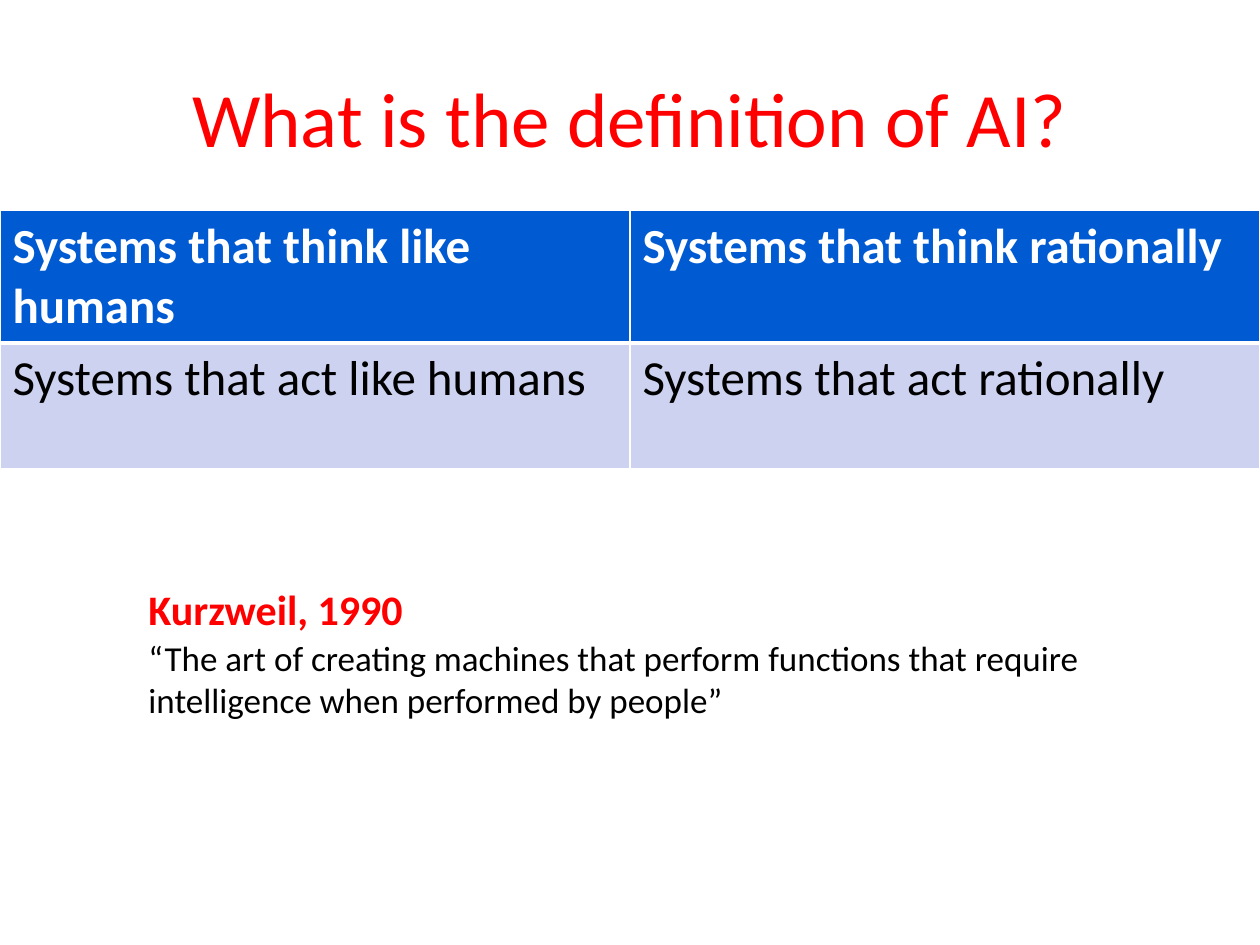
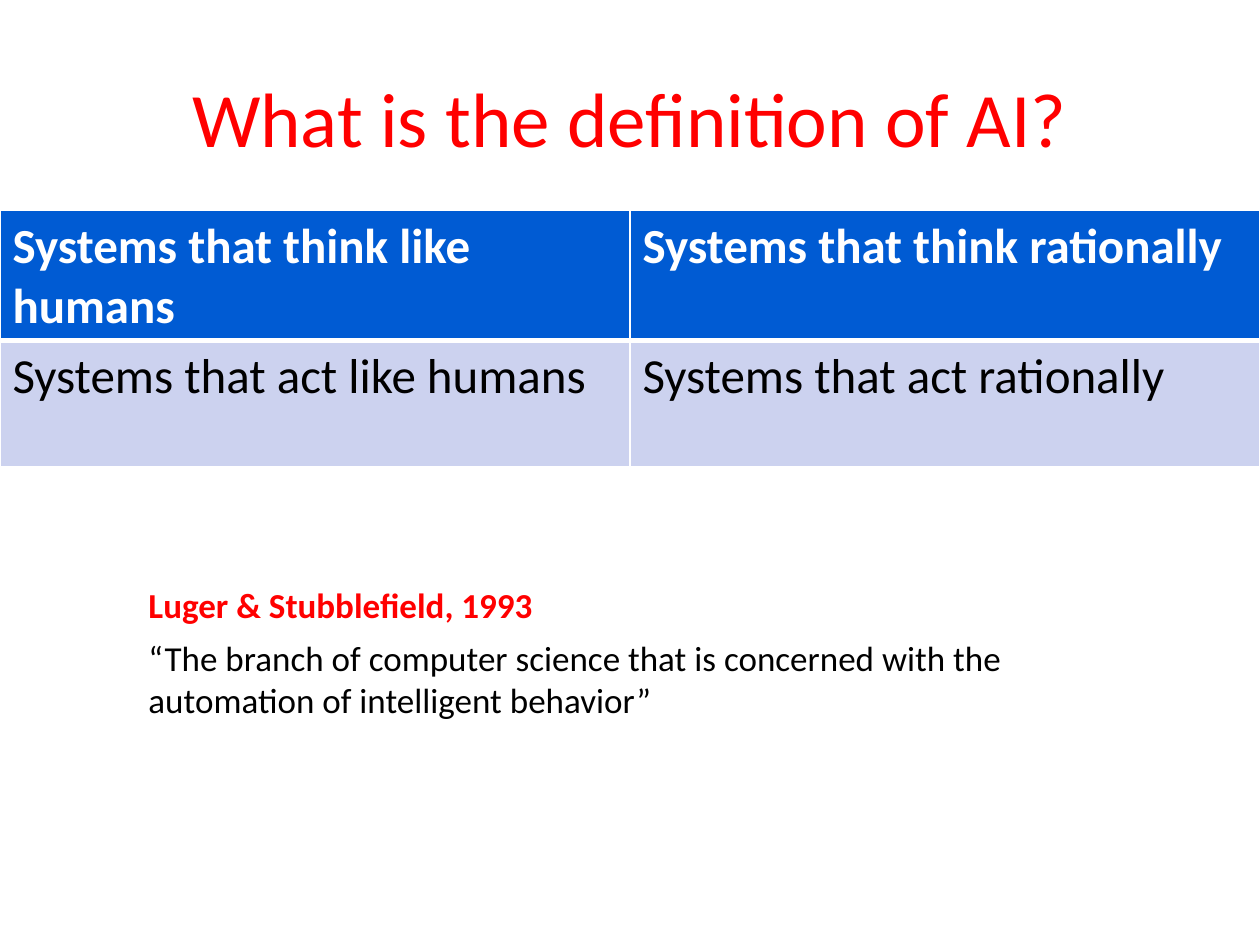
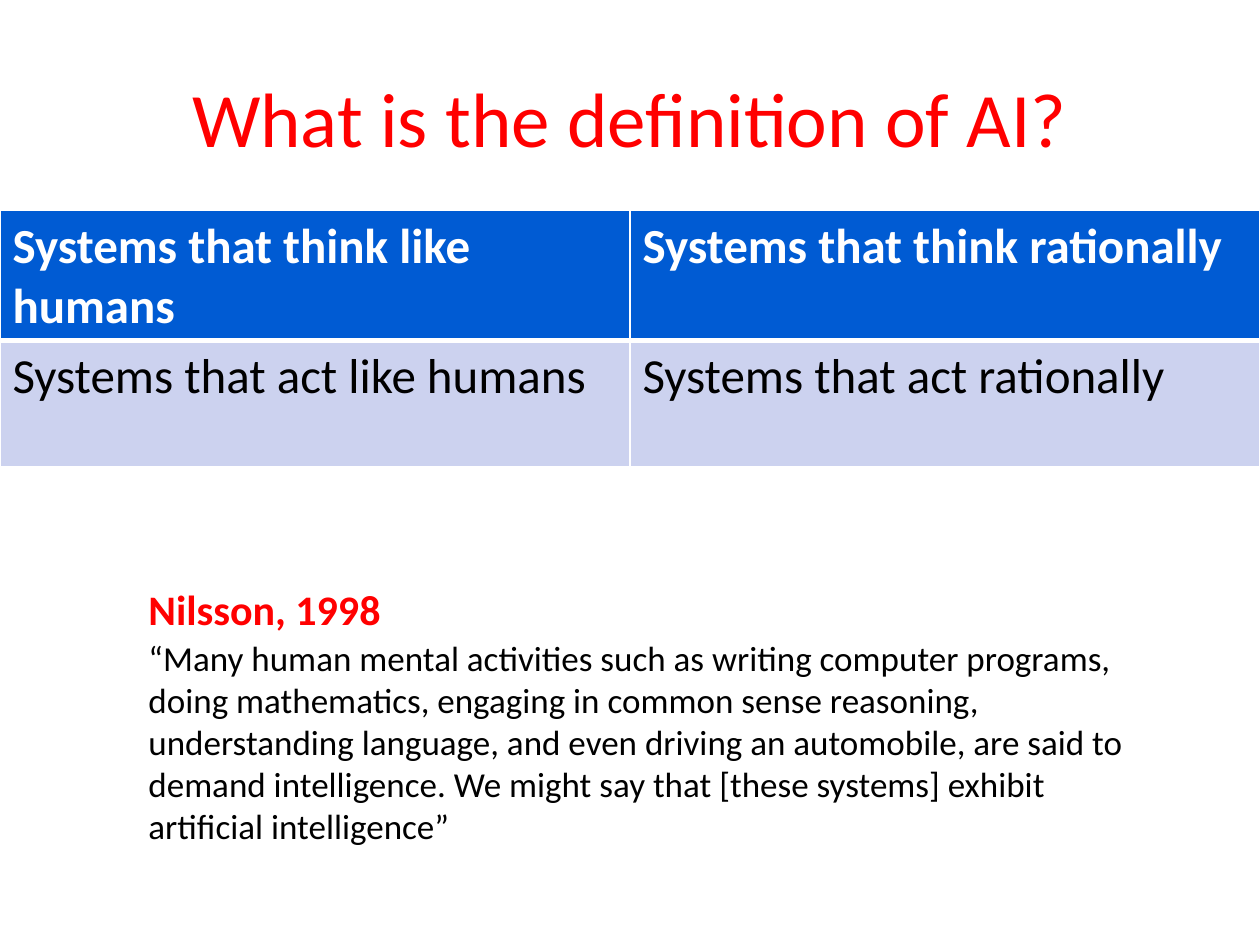
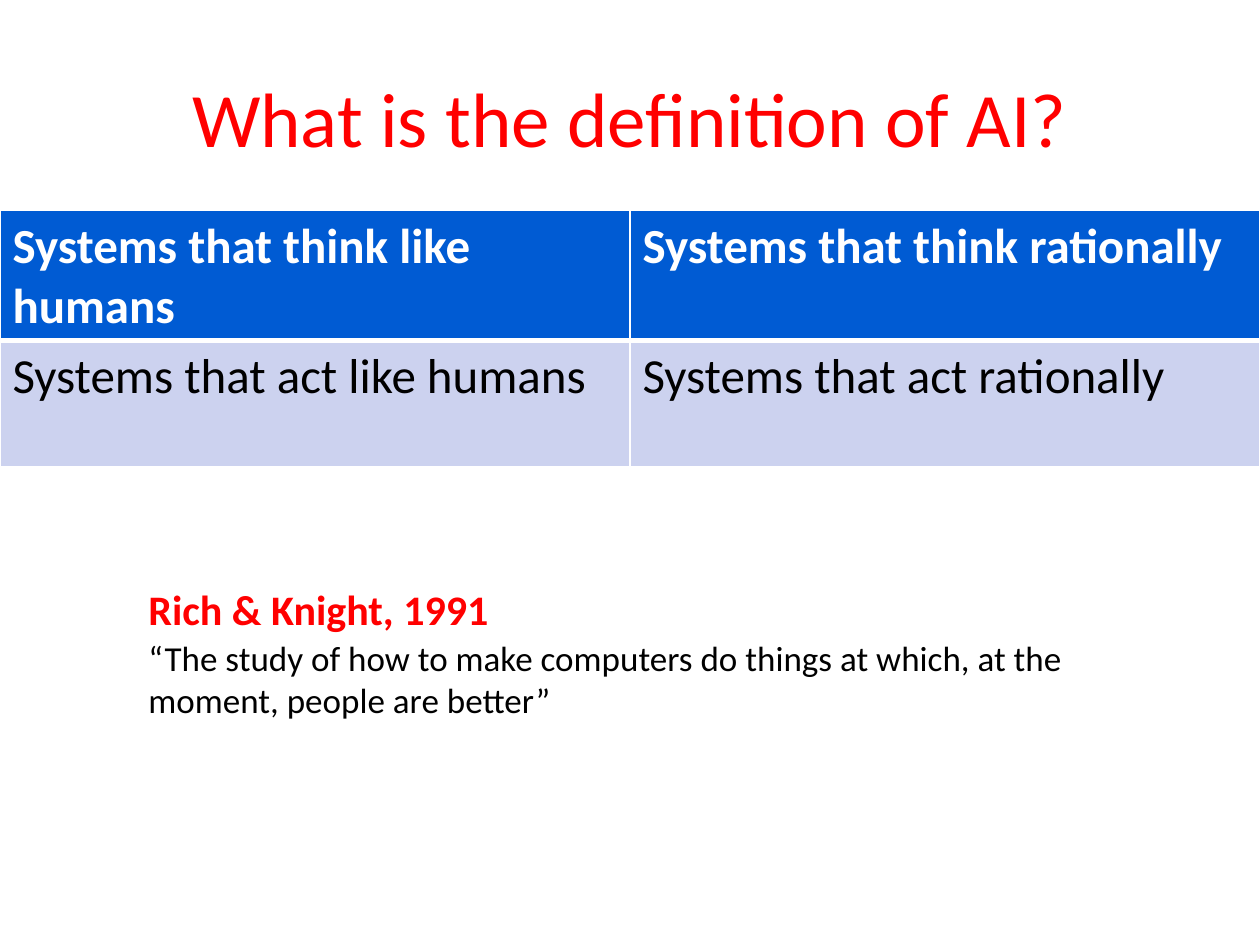
from lxml import etree
from pptx import Presentation
from pptx.dml.color import RGBColor
from pptx.enum.text import MSO_ANCHOR, MSO_AUTO_SIZE, PP_ALIGN
from pptx.oxml.ns import qn
from pptx.util import Inches, Pt

LEFT, CENTER = PP_ALIGN.LEFT, PP_ALIGN.CENTER
TOP, MIDDLE = MSO_ANCHOR.TOP, MSO_ANCHOR.MIDDLE
GROW, FIXED = MSO_AUTO_SIZE.SHAPE_TO_FIT_TEXT, MSO_AUTO_SIZE.NONE

FONT = "Calibri"
RED, BLACK, WHITE = "FF0000", "000000", "FFFFFF"
HEADER_BLUE, PALE_BLUE = "005BD3", "CCD2EF"

TITLE = "What is the definition of AI?"
APPROACHES = [
    ["Systems that think like humans", "Systems that think rationally"],
    ["Systems that act like humans", "Systems that act rationally"],
]
ROW_HEIGHTS = [0.97, 1]

# author, author size, author box width and height, quote, quote box height
DEFINITIONS = [
    ("Kurzweil, 1990", 24, 2.24, 0.5,
     "“The art of creating machines that perform functions that require "
     "intelligence when performed by people”", 0.77),
    ("Luger & Stubblefield, 1993", 20, 3.28, 0.44,
     "“The branch of computer science that is concerned with the "
     "automation of intelligent behavior”", 0.77),
    ("Nilsson, 1998", 24, 2.06, 0.5,
     "“Many human mental activities such as writing computer programs, "
     "doing mathematics, engaging in common sense reasoning, understanding "
     "language, and even driving an automobile, are said to demand "
     "intelligence. We might say that [these systems] exhibit artificial "
     "intelligence”", 1.78),
    ("Rich & Knight, 1991", 24, 2.92, 0.5,
     "“The study of how to make computers do things at which, at the "
     "moment, people are better”", 0.77),
]


def color(value):
    return RGBColor.from_string(value)


def write(frame, text, size=20, fill=BLACK, bold=False, align=LEFT):
    para = frame.paragraphs[0]
    para.alignment = align
    span = para.add_run()
    span.text = text
    span.font.name = FONT
    span.font.size = Pt(size)
    span.font.bold = bold
    span.font.color.rgb = color(fill)


def draw_border(cell, side, width):
    properties = cell._tc.get_or_add_tcPr()
    line = etree.SubElement(properties, qn(f"a:ln{side}"), w=str(Pt(width)))
    solid = etree.SubElement(line, qn("a:solidFill"))
    etree.SubElement(solid, qn("a:srgbClr"), val=WHITE)


class DefinitionDeck:
    """Builds slides that share a title, a table of approaches and a quote."""

    def __init__(self):
        self.deck = Presentation()
        self.deck.slide_width = Inches(10)
        self.deck.slide_height = Inches(7.5)
        self.page = None

    def add_page(self):
        self.page = self.deck.slides.add_slide(self.deck.slide_layouts[6])

    def add_text(self, text, left, top, width, height, wrap=True,
                 anchor=TOP, fit=GROW, **style):
        box = self.page.shapes.add_textbox(
            Inches(left), Inches(top), Inches(width), Inches(height))
        frame = box.text_frame
        frame.word_wrap = wrap
        frame.auto_size = fit
        frame.vertical_anchor = anchor
        write(frame, text, **style)

    def add_title(self):
        self.add_text(TITLE, 0.5, 0.3, 9, 1.25, anchor=MIDDLE, fit=FIXED,
                      size=44, fill=RED, align=CENTER)

    def add_approaches(self):
        holder = self.page.shapes.add_table(
            len(APPROACHES), len(APPROACHES[0]),
            Inches(0), Inches(1.67), Inches(10), Inches(2.03))
        table = holder.table
        for row, (texts, height) in enumerate(zip(APPROACHES, ROW_HEIGHTS)):
            table.rows[row].height = Inches(height)
            header = row == 0
            borders = {"L": 1, "R": 1, "T": 1 if header else 3,
                       "B": 3 if header else 1}
            for column, text in enumerate(texts):
                cell = table.cell(row, column)
                for side, width in borders.items():
                    draw_border(cell, side, width)
                cell.fill.solid()
                cell.fill.fore_color.rgb = color(
                    HEADER_BLUE if header else PALE_BLUE)
                write(cell.text_frame, text, size=28, bold=header,
                      fill=WHITE if header else BLACK)
        holder.height = Inches(2.03)

    def add_definition(self, author, size, width, height, quote, quote_height):
        self.add_text(author, 1.08, 4.58, width, height, wrap=False,
                      size=size, fill=RED, bold=True)
        self.add_text(quote, 1.08, 5, 8.25, quote_height)


def main():
    builder = DefinitionDeck()
    for definition in DEFINITIONS:
        builder.add_page()
        builder.add_title()
        builder.add_approaches()
        builder.add_definition(*definition)
    builder.deck.save("out.pptx")


if __name__ == "__main__":
    main()
